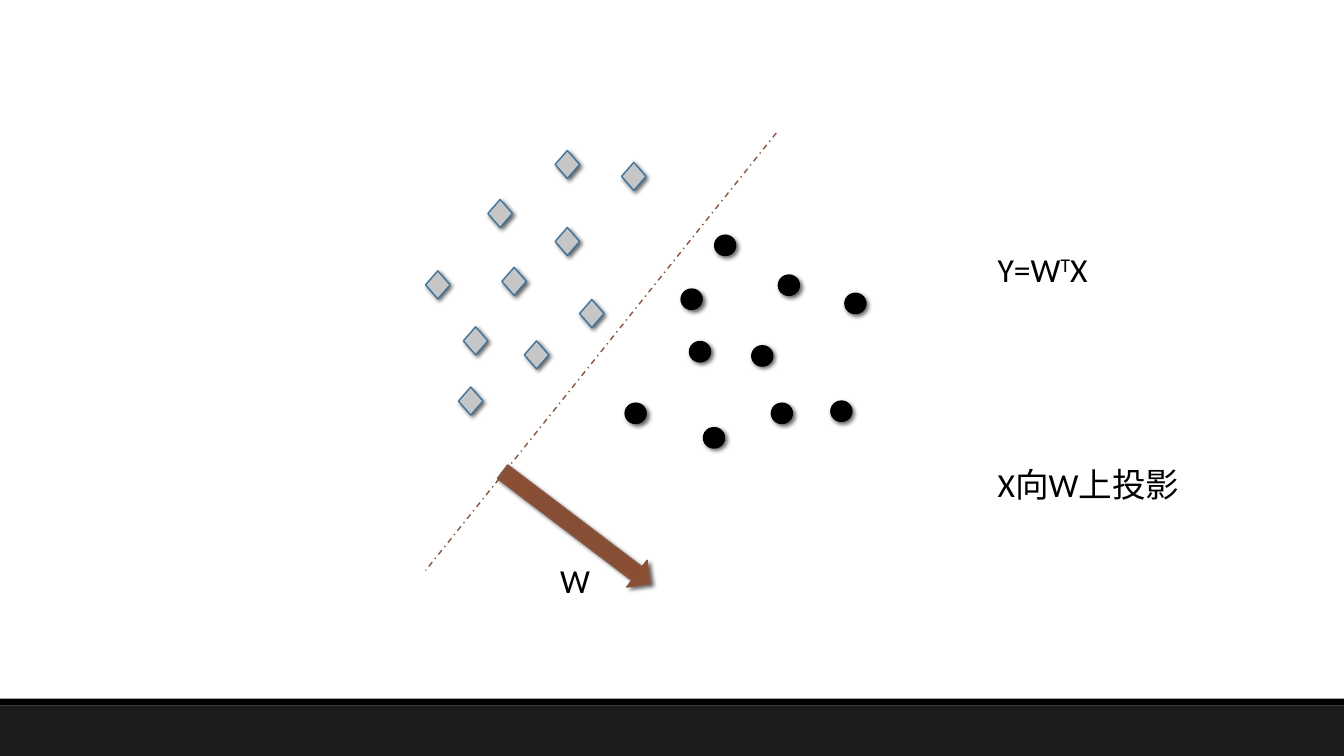
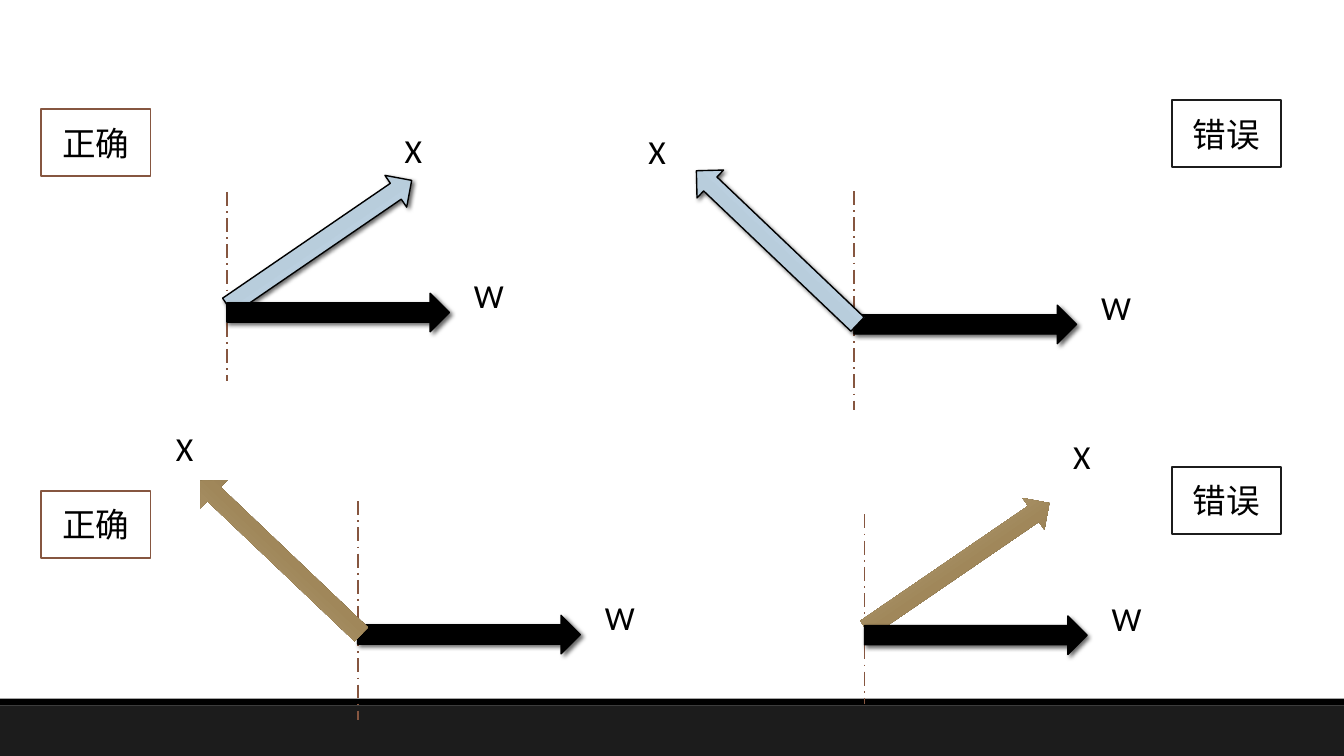
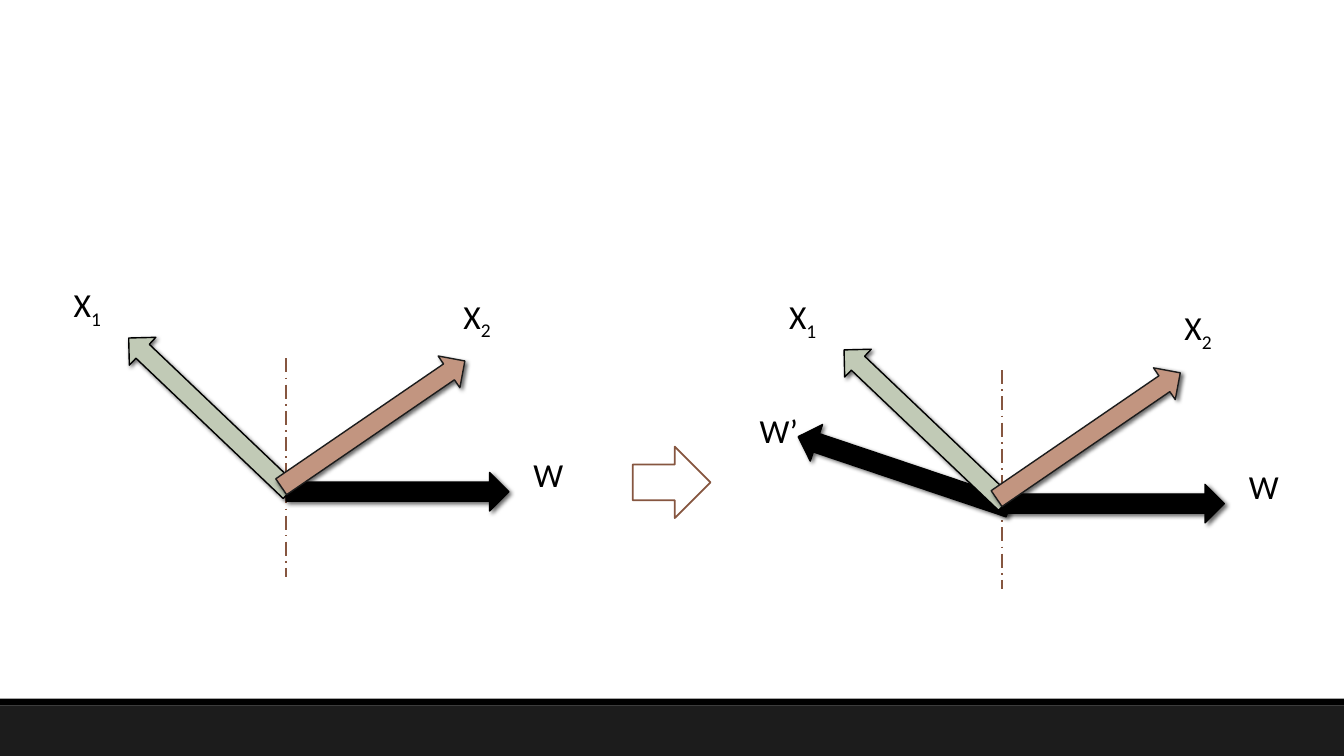
import pptx
import pptx.dml.color
import pptx.enum.dml
import pptx.enum.shapes
import pptx.enum.text
import pptx.oxml.ns
import pptx.util
from lxml import etree

Pt = pptx.util.Pt
qn = pptx.oxml.ns.qn
SHAPE = pptx.enum.shapes.MSO_SHAPE
DASH = pptx.enum.dml.MSO_LINE
ANCHOR = pptx.enum.text.MSO_ANCHOR
ALIGN = pptx.enum.text.PP_ALIGN
FIT = pptx.enum.text.MSO_AUTO_SIZE

COLORS = {
    "white": "FFFFFF", "black": "000000", "charcoal": "1C1C1C",
    "brown": "865640", "steel": "40749B", "silver": "C6C6C6",
    "sage": "C1CAB6", "clay": "C29580",
}
GRADIENTS = {
    "sky": [(0, "C8DEF0"), (65, "B5C9D8"), (100, "92A1AC")],
    "gold": [(0, "68583A"), (48, "A0875A"), (100, "C5B598")],
    "rust": [(0, "874C32"), (34, "864E34"), (70, "8A4E33"), (100, "8A553D")],
}
HEADINGS = {
    "W": (0, 0, 0),
    "W’": (-149.5, -22.5, 198.6),
    "left": (-134.5, -55, 223.6),
    "right": (-13, -49.5, 325.6),
    "right raised": (-17.5, -48.5, 325.6),
}
VECTOR_SIZE = (159, 27.5)
SHORT_AXIS = (-72.5, 135.5)
LONG_AXIS = (-81.5, 156.5)
W_LABEL = ((169.5, -16.5, 36), [("W", 0)])
W_VECTOR = ("W", "black", "black")


class Deck:
    size = (960, 540)
    font = {"name": "Calibri", "size": Pt(24)}
    box = {"word_wrap": True, "auto_size": FIT.SHAPE_TO_FIT_TEXT}
    verdict_frame = {"word_wrap": True, "vertical_anchor": ANCHOR.MIDDLE}
    bands = [((0, 504, 960, 36), "charcoal"), ((0, 499, 960, 5), "black")]

    def __init__(self):
        self.presentation = pptx.Presentation()
        self.presentation.slide_width, self.presentation.slide_height = map(Pt, self.size)
        self.slide = None

    def color(self, name):
        return pptx.dml.color.RGBColor.from_string(COLORS[name])

    def new_slide(self):
        self.slide = self.presentation.slides.add_slide(self.presentation.slide_layouts[6])
        background = self.slide.background.fill
        background.solid()
        background.fore_color.rgb = self.color("white")
        for place, fill in self.bands:
            self.shape(SHAPE.RECTANGLE, place, fill)

    def shape(self, kind, place, fill, line=None, width=1, rotation=0, shadow=False):
        shape = self.slide.shapes.add_shape(kind, *map(Pt, place))
        shape.rotation = rotation
        shape.shadow.inherit = False
        if fill in GRADIENTS:
            self.gradient(shape, fill)
        else:
            shape.fill.solid()
            shape.fill.fore_color.rgb = self.color(fill)
        if line:
            shape.line.color.rgb = self.color(line)
            shape.line.width = Pt(width)
        else:
            shape.line.fill.background()
        if shadow:
            self.cast_shadow(shape)
        return shape

    def gradient(self, shape, name):
        shape.fill.gradient()
        gradient = shape.element.spPr.find(qn("a:gradFill"))
        for child in list(gradient):
            gradient.remove(child)
        stops = etree.SubElement(gradient, qn("a:gsLst"))
        for position, value in GRADIENTS[name]:
            stop = etree.SubElement(stops, qn("a:gs"), pos=str(position * 1000))
            etree.SubElement(stop, qn("a:srgbClr"), val=value)
        if name == "rust":
            circle = etree.SubElement(gradient, qn("a:path"), {"path": "circle"})
            etree.SubElement(circle, qn("a:fillToRect"), dict.fromkeys("ltrb", "100000"))
        else:
            etree.SubElement(gradient, qn("a:lin"), ang="16200000", scaled="0")

    def cast_shadow(self, shape):
        effects = shape.element.spPr.find(qn("a:effectLst"))
        shadow = etree.SubElement(
            effects, qn("a:outerShdw"), blurRad=str(Pt(3)), dist=str(Pt(2)),
            dir="2700000", algn="tl", rotWithShape="0")
        tint = etree.SubElement(shadow, qn("a:srgbClr"), val=COLORS["black"])
        etree.SubElement(tint, qn("a:alpha"), val="60000")

    def line(self, start, end, width, dash):
        line = self.slide.shapes.add_connector(
            pptx.enum.shapes.MSO_CONNECTOR.STRAIGHT, *map(Pt, start + end))
        line.line.color.rgb = self.color("brown")
        line.line.width = Pt(width)
        line.line.dash_style = dash
        etree.SubElement(line.element.spPr, qn("a:effectLst"))

    def fill_text(self, frame, pieces, settings):
        for name, value in settings.items():
            setattr(frame, name, value)
        for text, baseline in pieces:
            run = frame.paragraphs[0].add_run()
            run.text = text
            for name, value in self.font.items():
                setattr(run.font, name, value)
            run.font.color.rgb = self.color("black")
            if baseline:
                run.font._element.set("baseline", str(baseline * 1000))

    def label(self, left, top, width, pieces):
        label = self.slide.shapes.add_textbox(*map(Pt, (left, top, width, 36)))
        self.fill_text(label.text_frame, pieces, self.box)

    def verdict(self, left, top, text, line):
        verdict = self.shape(SHAPE.RECTANGLE, (left, top, 78, 48), "white", line, 1.25)
        self.fill_text(verdict.text_frame, [(text, 0)], self.verdict_frame)
        verdict.text_frame.paragraphs[0].alignment = ALIGN.CENTER

    def vector_figure(self, pivot, axis, vectors, labels):
        x, y = pivot
        rise, length = axis
        self.line((x, y + rise), (x, y + rise + length), 1.25, DASH.LONG_DASH_DOT)
        for heading, fill, line in vectors:
            dx, dy, rotation = HEADINGS[heading]
            self.shape(SHAPE.RIGHT_ARROW, (x + dx, y + dy, *VECTOR_SIZE), fill, line,
                       rotation=rotation, shadow=line is not None)
        for (dx, dy, width), pieces in labels + [W_LABEL]:
            self.label(x + dx, y + dy, width, pieces)


def projection_slide(deck):
    deck.new_slide()
    diamonds = [(348.5, 142.5), (304, 193.5), (331, 233.5), (396.5, 107.5), (358.5, 191),
                (396.5, 162.5), (414, 214), (374.5, 243.5), (444, 116), (327.5, 276.5)]
    dots = [(446.5, 288), (593.5, 286.5), (502.5, 305.5), (510.5, 168), (486.5, 206.5),
            (492.5, 244), (537, 247), (551, 288), (603.5, 209.5), (556, 196.5)]
    classes = [(SHAPE.DIAMOND, diamonds, (17.5, 20), "silver", "steel"),
               (SHAPE.OVAL, dots, (15, 14.5), "black", "black")]
    for kind, samples, size, fill, line in classes:
        for sample in samples:
            deck.shape(kind, sample + size, fill, line, shadow=True)
    deck.line((554.5, 95), (304, 407.5), 1, DASH.DASH_DOT)
    deck.shape(SHAPE.RIGHT_ARROW, (345.5, 365, 132.5, 24), "rust", "brown",
               rotation=37.2, shadow=True)
    deck.label(705.5, 174, 90, [("Y=W", 0), ("T", 30), ("X", 0)])
    deck.label(393, 396.5, 42.5, [("W", 0)])
    deck.label(705.5, 327.5, 145.5, [("X向W上投影", 0)])


def verdict_slide(deck):
    deck.new_slide()
    figures = [
        ((617.5, 440), SHORT_AXIS, [("right", "gold", None), W_VECTOR], (142, -132)),
        ((162, 209.5), SHORT_AXIS, [("right", "sky", "black"), W_VECTOR], (120, -120)),
        ((610, 218), LONG_AXIS, [W_VECTOR, ("left", "sky", "black")], (-154, -128)),
        ((255.5, 439.5), LONG_AXIS, [W_VECTOR, ("left", "gold", None)], (-137, -137.5)),
    ]
    for pivot, axis, vectors, x_label in figures:
        deck.vector_figure(pivot, axis, vectors, [((*x_label, 28), [("X", 0)])])
    for left, tops, text, line in [(29.5, (78, 350.5), "正确", "brown"),
                                   (837, (71.5, 333.5), "错误", "charcoal")]:
        for top in tops:
            deck.verdict(left, top, text, line)


def update_slide(deck):
    deck.new_slide()
    x1_label = ((-159, -138, 40), [("X", 0), ("1", -25)])
    new_w_label = ((-180, -57, 99.5), [("W’", 0)])
    figures = [((204.5, 337.5), [], 119.5, []),
               ((715.5, 346), [("W’", "black", "black")], 123.5, [new_w_label])]
    for pivot, new_w, x2_offset, new_label in figures:
        vectors = [W_VECTOR, *new_w, ("left", "sage", "black"),
                   ("right raised", "clay", "charcoal")]
        x2_label = ((x2_offset, -130, 50), [("X", 0), ("2", -25)])
        deck.vector_figure(pivot, LONG_AXIS, vectors, [x1_label, x2_label] + new_label)
    deck.shape(SHAPE.RIGHT_ARROW, (452, 319, 55.5, 51), "white", "brown", 1.25)


def main():
    deck = Deck()
    for build in (projection_slide, verdict_slide, update_slide):
        build(deck)
    deck.presentation.save("out.pptx")


if __name__ == "__main__":
    main()
